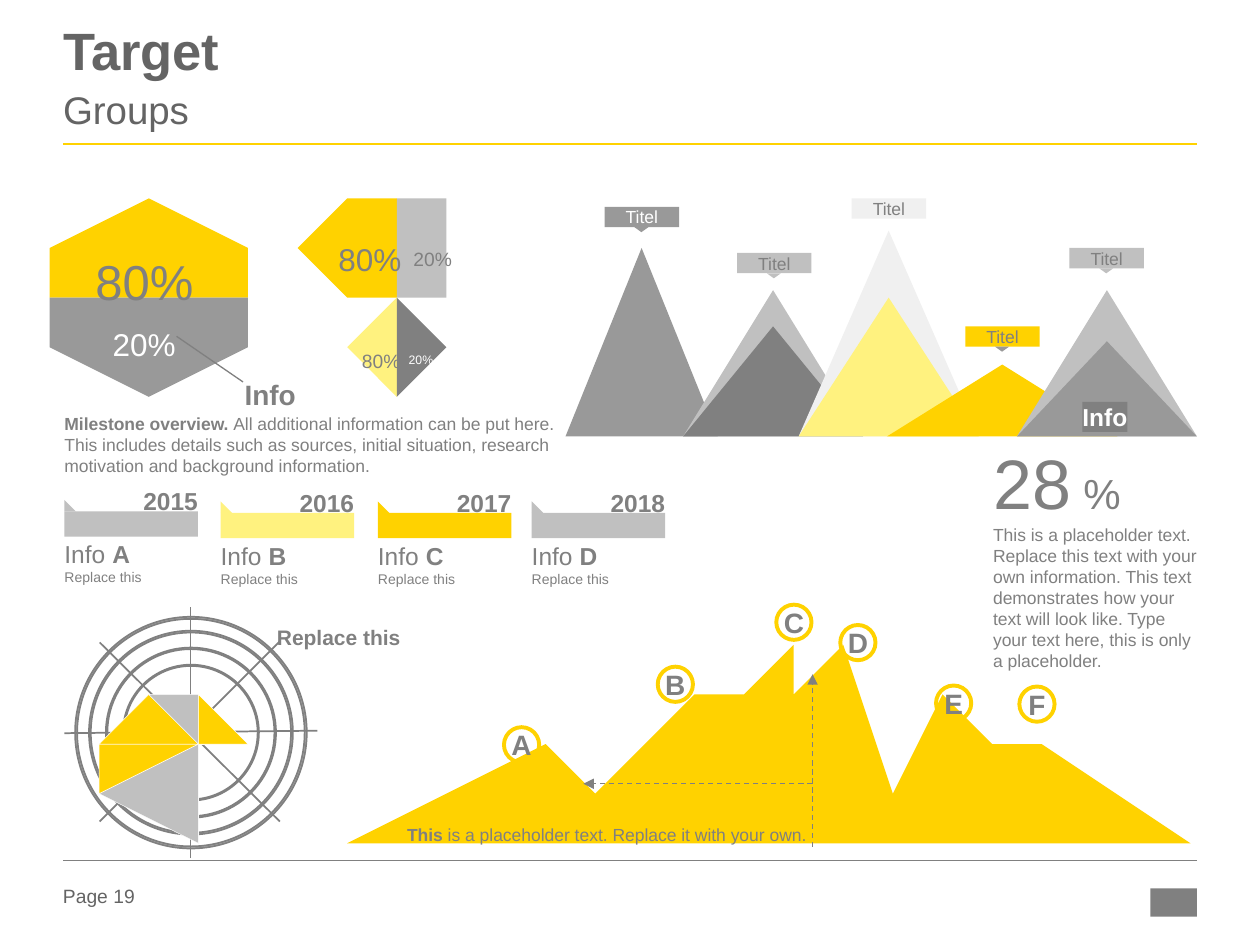
from itertools import pairwise

from pptx import Presentation
from pptx import util as u
from pptx.dml import color
from pptx.enum import dml, shapes, text
from pptx.oxml import ns, xmlchemy

Cm, Pt = u.Cm, u.Pt
MSO, ALIGN, ANCHOR = shapes.MSO_SHAPE, text.PP_ALIGN, text.MSO_ANCHOR


class Theme:
    font = "Arial"
    yellow, pale = "FFD200", "FFF27F"
    ink, dark, mid, light, mist = "646464", "808080", "999999", "C0C0C0", "F0F0F0"
    ring, white = "B3B3B3", "FFFFFF"
    title, subtitle, hero, unit, big = 30, 22, 40, 24, 28
    value, head, label, name, page, body, small, tiny = 18, 16, 14, 12, 11, 10, 8, 7


T = Theme


def paint(sp, fill=None, line=None, width=1):
    sp.shadow.inherit = False
    if fill:
        sp.fill.solid()
        sp.fill.fore_color.rgb = color.RGBColor.from_string(fill)
    else:
        sp.fill.background()
    if line:
        sp.line.color.rgb = color.RGBColor.from_string(line)
        sp.line.width = Pt(width)
    else:
        sp.line.fill.background()
    return sp


def write(sp, paragraphs, align=ALIGN.CENTER, anchor=ANCHOR.TOP, wrap=False):
    tf = sp.text_frame
    tf.margin_left = tf.margin_right = tf.margin_top = tf.margin_bottom = 0
    tf.auto_size, tf.word_wrap, tf.vertical_anchor = text.MSO_AUTO_SIZE.NONE, wrap, anchor
    for i, runs in enumerate(paragraphs):
        p = tf.add_paragraph() if i else tf.paragraphs[0]
        p.alignment = align
        for words, size, ink, bold in runs:
            r = p.add_run()
            r.text = words
            r.font.name, r.font.size, r.font.bold = T.font, Pt(size), bold
            r.font.color.rgb = color.RGBColor.from_string(ink)
    return tf


prs = Presentation()
prs.slide_width, prs.slide_height = Cm(25.4), Cm(19.05)
s = prs.slides.add_slide(prs.slide_layouts[1])

title, body = s.placeholders
for sp, top, height, run in [
    (title, 0.56, 1.17, ("Target", T.title, T.ink, True)),
    (body, 1.73, 1.22, ("Groups", T.subtitle, T.ink, False)),
]:
    sp.left, sp.top, sp.width, sp.height = Cm(1.27), Cm(top), Cm(22.86), Cm(height)
    write(sp, [[run]], ALIGN.LEFT, wrap=True)
title.text_frame.paragraphs[0].line_spacing = 0.85
p = body.text_frame.paragraphs[0]
p.space_before = Pt(4.4)
pPr = p._p.get_or_add_pPr()
pPr.set("marL", "0")
pPr.set("indent", "0")
pPr.append(xmlchemy.OxmlElement("a:buNone"))

paint(s.shapes.add_shape(MSO.RECTANGLE, Cm(23.19), Cm(17.91), Cm(0.94), Cm(0.57)), T.dark)

for x, y, fill, year, letter in [
    (1.3, 10.31, T.light, "2015", "A"),
    (4.45, 10.34, T.pale, "2016", "B"),
    (7.62, 10.34, T.yellow, "2017", "C"),
    (10.72, 10.34, T.light, "2018", "D"),
]:
    paint(s.shapes.add_shape(MSO.RECTANGLE, Cm(x), Cm(y), Cm(2.69), Cm(0.51)), fill)
    paint(s.shapes.add_shape(MSO.RIGHT_TRIANGLE, Cm(x), Cm(y - 0.23), Cm(0.23), Cm(0.23)), fill)
    write(s.shapes.add_textbox(Cm(x), Cm(y + 0.56), Cm(2.87), Cm(0.94)),
          [[("Info ", T.label, T.dark, False), (letter, T.label, T.dark, True)],
           [("Replace this", T.small, T.dark, False)]], ALIGN.LEFT, wrap=True)
    write(s.shapes.add_textbox(Cm(x + 1.59), Cm(y - 0.51), Cm(1.1), Cm(0.61)),
          [[(year, T.label, T.dark, True)]])

for d in (4.67, 4.11, 3.43, 2.74):
    sp = s.shapes.add_shape(MSO.DONUT, Cm(3.85 - d / 2), Cm(14.77 - d / 2), Cm(d), Cm(d))
    sp.adjustments[0] = 0.009
    paint(sp, T.ring, T.dark)

for x, peak, width, fill in [
    (11.4, 5, 3.07, T.mid),
    (13.77, 5.85, 3.63, T.light),
    (13.77, 6.58, 3.63, T.dark),
    (16.1, 4.65, 3.63, T.mist),
    (16.1, 6, 3.63, T.pale),
    (17.88, 7.35, 4.65, T.yellow),
    (20.5, 5.85, 3.63, T.light),
    (20.5, 6.88, 3.63, T.mid),
]:
    paint(s.shapes.add_shape(MSO.ISOSCELES_TRIANGLE, Cm(x), Cm(peak), Cm(width), Cm(8.8 - peak)), fill)

for x, y, fill, pointer, ink in [
    (12.19, 4.17, T.mid, T.mid, T.white),
    (14.86, 5.1, T.light, T.light, T.dark),
    (17.17, 4, T.mist, None, T.dark),
    (19.46, 6.58, T.yellow, T.mid, T.dark),
    (21.56, 5, T.light, T.light, T.dark),
]:
    sp = paint(s.shapes.add_shape(MSO.RECTANGLE, Cm(x), Cm(y), Cm(1.5), Cm(0.41)), fill)
    write(sp, [[("Titel", T.body, ink, False)]], anchor=ANCHOR.MIDDLE)
    if pointer:
        sp = s.shapes.add_shape(MSO.ISOSCELES_TRIANGLE, Cm(x + 0.6), Cm(y + 0.41), Cm(0.28), Cm(0.1))
        sp.rotation = 180
        paint(sp, pointer)

sp = paint(s.shapes.add_shape(MSO.RECTANGLE, Cm(21.82), Cm(8.1), Cm(0.91), Cm(0.61)), T.dark)
write(sp, [[("Info", T.label, T.white, True)]])

center = (3.84, 14.73)
rim = [(5.16, 14.73), (4.39, 15.32), (3.84, 16.95), (2.39, 16.21),
       (1.55, 14.78), (2.62, 13.55), (3.84, 13.69), (4.39, 14.19)]
wedge_fills = [T.yellow, T.light, T.light, T.yellow, T.yellow, T.light, T.light, T.yellow]
wedges = [(fill, T.white, [center, a, b])
          for fill, (a, b) in zip(wedge_fills, pairwise(rim + rim[:1]))]
polygons = [
    (T.yellow, None, [(1.27, 4.98), (2.92, 3.91), (4.57, 4.98), (4.57, 6.25), (1.27, 6.25)]),
    (T.mid, None, [(1.27, 6.38), (4.57, 6.38), (4.57, 6.76), (2.92, 7.85), (1.27, 6.76)]),
    (T.yellow, None, [(7.24, 6.35), (6.48, 5.18), (7.24, 4), (8.13, 4), (8.13, 6.35)]),
    (T.light, None, [(8.23, 4), (8.51, 4), (9.27, 5.18), (8.51, 6.35), (8.23, 6.35)]),
    (T.pale, None, [(7.54, 7.95), (7.06, 7.21), (7.54, 6.48), (8.13, 6.48), (8.13, 7.95)]),
    (T.dark, None, [(8.23, 6.48), (8.38, 6.48), (8.86, 7.21), (8.38, 7.95), (8.23, 7.95)]),
    (T.yellow, None, [(7.24, 17.09), (10.54, 15.29), (11.71, 15.75), (13.54, 14.12),
                      (14.76, 14.4), (16, 12.85), (16.41, 13.56), (17.27, 13.31),
                      (17.83, 15.57), (19.2, 14.5), (20.37, 15.11), (20.9, 14.53),
                      (24.13, 17.09)]),
]
lines = [
    (1.27, 2.9, 24.13, 2.9, T.yellow, 1.5, False),
    (1.27, 17.35, 24.13, 17.35, T.dark, 0.25, False),
    (1.3, 14.78, 6.4, 14.73, T.dark, 1, False),
    (3.84, 17.3, 3.84, 12.24, T.dark, 1, False),
    (5.64, 16.56, 2.01, 12.95, T.dark, 1, False),
    (2.01, 16.56, 5.64, 12.93, T.dark, 1, False),
    (3.56, 6.78, 4.9, 7.7, T.dark, 0.75, False),
    (16.38, 17.07, 16.38, 13.59, T.dark, 0.75, True),
    (16.38, 15.8, 11.76, 15.8, T.dark, 0.75, True),
]
for i, (fill, line, points) in enumerate(polygons + wedges):
    if i == len(polygons):
        for x1, y1, x2, y2, ink, width, arrow in lines:
            c = s.shapes.add_connector(shapes.MSO_CONNECTOR.STRAIGHT, Cm(x1), Cm(y1), Cm(x2), Cm(y2))
            c.line.color.rgb = color.RGBColor.from_string(ink)
            c.line.width = Pt(width)
            if arrow:
                c.line.dash_style = dml.MSO_LINE.DASH
                tail = xmlchemy.OxmlElement("a:tailEnd")
                tail.set("type", "triangle")
                c._element.spPr.find(ns.qn("a:ln")).append(tail)
            c._element.spPr.append(xmlchemy.OxmlElement("a:effectLst"))
    fb = s.shapes.build_freeform(*points[0], scale=Cm(1))
    fb.add_line_segments(points[1:])
    paint(fb.convert_to_shape(), fill, line, 0.25)

for letter, x, y in [("A", 10.16, 14.66), ("B", 13.26, 13.44), ("C", 15.65, 12.19),
                     ("D", 16.94, 12.6), ("E", 18.87, 13.82), ("F", 20.55, 13.84)]:
    sp = paint(s.shapes.add_shape(MSO.OVAL, Cm(x), Cm(y), Cm(0.71), Cm(0.71)), None, T.yellow, 2.25)
    write(sp, [[(letter, T.head, T.dark, True)]], anchor=ANCHOR.MIDDLE)

for box, wrap, runs in [
    ((1.27, 17.83, 2.01, 0.56), True, [("Page 19", T.page, T.ink, False)]),
    ((5.56, 12.6, 2.54, 0.51), False, [("Replace this", T.name, T.dark, True)]),
    ((20.02, 10.57, 4.11, 3), True, [(
        "This is a placeholder text. Replace this text with your own information. "
        "This text demonstrates how your text will look like. "
        "Type your text here, this is only a placeholder.", T.body, T.dark, False)]),
    ((20.02, 8.86, 2.59, 1.7), False, [("28", T.hero, T.dark, False), (" %", T.unit, T.dark, False)]),
    ((1.55, 5.08, 2.72, 1.19), False, [("80%", T.big, T.dark, False)]),
    ((2.13, 6.55, 1.55, 0.53), False, [("20%", T.value, T.white, False)]),
    ((4.93, 7.62, 1.04, 0.69), False, [("Info", T.head, T.dark, True)]),
    ((6.73, 4.83, 1.45, 0.76), False, [("80%", T.value, T.dark, False)]),
    ((8.33, 4.98, 0.79, 0.48), False, [("20%", T.page, T.dark, False)]),
    ((7.29, 7.04, 0.79, 0.48), False, [("80%", T.page, T.dark, False)]),
    ((8.23, 7.11, 0.51, 0.3), False, [("20%", T.tiny, T.white, False)]),
    ((8.18, 16.61, 8.1, 0.43), False, [
        ("This", T.body, T.dark, True),
        (" is a placeholder text. Replace it with your own.", T.body, T.dark, False)]),
    ((1.3, 8.33, 9.9, 1.27), True, [
        ("Milestone overview. ", T.body, T.dark, True),
        ("All additional information can be put here. This includes details such as sources, "
         "initial situation, research motivation and background information.", T.body, T.dark, False)]),
]:
    write(s.shapes.add_textbox(*map(Cm, box)), [runs], ALIGN.LEFT if wrap else ALIGN.CENTER, wrap=wrap)

prs.save("out.pptx")
